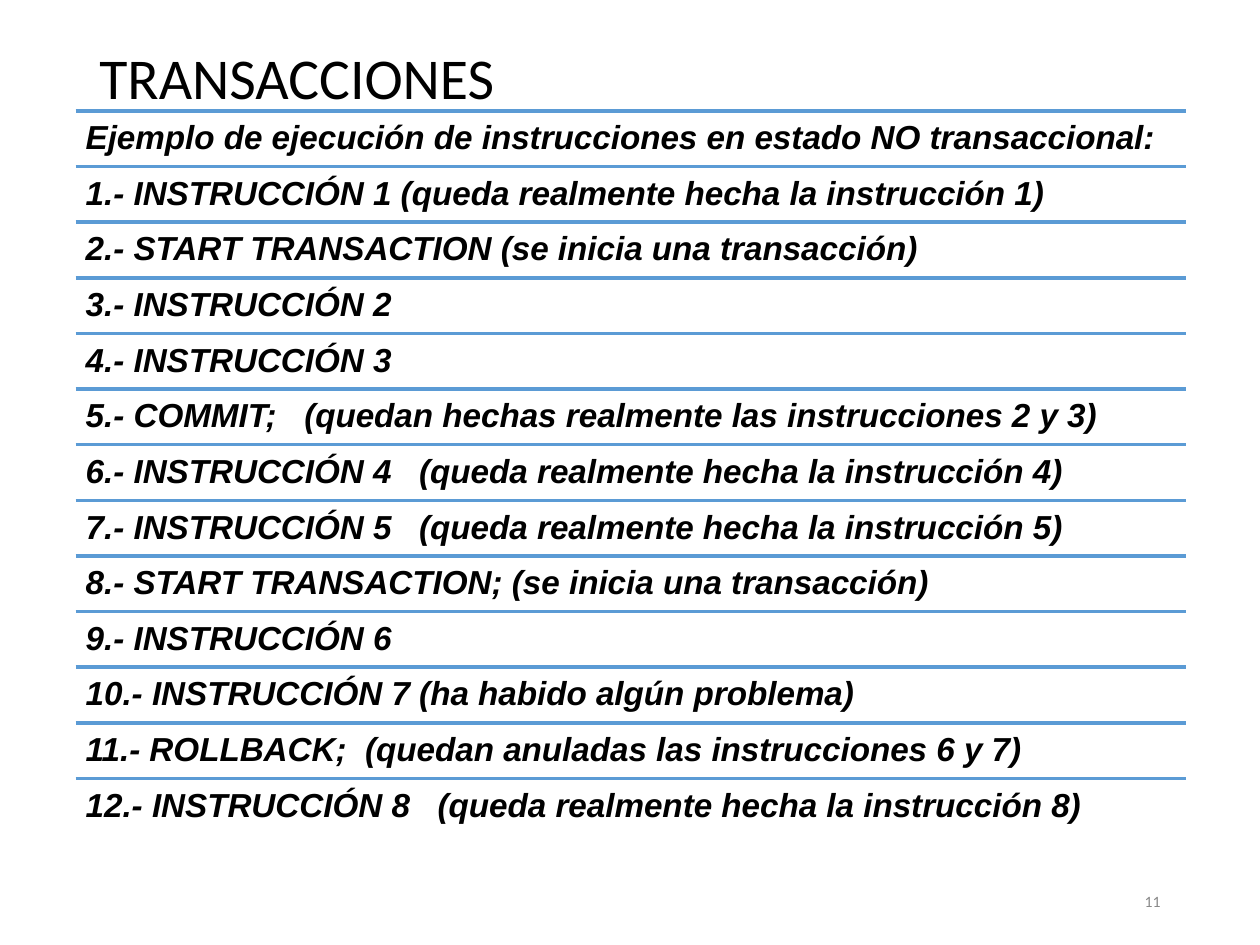
from lxml import etree
from pptx import Presentation, util as u
from pptx.dml.color import RGBColor
from pptx.enum import shapes, text
from pptx.oxml.ns import qn

INK = {"text": "000000", "rule": "5B9BD5", "page": "898989"}
STEPS = [
    "Ejemplo de ejecución de instrucciones en estado NO transaccional:",
    "1.- INSTRUCCIÓN 1 (queda realmente hecha la instrucción 1)",
    "2.- START TRANSACTION (se inicia una transacción)",
    "3.- INSTRUCCIÓN 2",
    "4.- INSTRUCCIÓN 3",
    "5.- COMMIT;   (quedan hechas realmente las instrucciones 2 y 3)",
    "6.- INSTRUCCIÓN 4   (queda realmente hecha la instrucción 4)",
    "7.- INSTRUCCIÓN 5   (queda realmente hecha la instrucción 5)",
    "8.- START TRANSACTION; (se inicia una transacción)",
    "9.- INSTRUCCIÓN 6",
    "10.- INSTRUCCIÓN 7 (ha habido algún problema)",
    "11.- ROLLBACK;  (quedan anuladas las instrucciones 6 y 7)",
    "12.- INSTRUCCIÓN 8   (queda realmente hecha la instrucción 8)",
]


def add_text(group, box, words, size, font="Calibri", ink="text", bold=False,
             align=text.PP_ALIGN.LEFT, anchor=text.MSO_ANCHOR.MIDDLE,
             inset=(0.1, 0.05), space=0.9):
    frame = group.add_textbox(*map(u.Inches, box)).text_frame
    frame.word_wrap = True
    frame.vertical_anchor = anchor
    frame.margin_left = frame.margin_right = u.Inches(inset[0])
    frame.margin_top = frame.margin_bottom = u.Inches(inset[1])
    frame.text = words
    para = frame.paragraphs[0]
    para.alignment = align
    para.line_spacing = space
    face = para.runs[0].font
    face.name, face.size = font, u.Pt(size)
    face.bold = face.italic = bold
    face.color.rgb = RGBColor.from_string(INK[ink])


def add_rule(group, left, top, width):
    rule = group.add_connector(
        shapes.MSO_CONNECTOR.STRAIGHT,
        *map(u.Inches, (left, top, left + width, top)))
    rule.line.color.rgb = RGBColor.from_string(INK[ "rule"])
    rule.line.width = u.Pt(2)
    etree.SubElement(rule.element.spPr, qn("a:effectLst"))


def add_title(slide, box):
    add_text(slide.shapes, box, "TRANSACCIONES", 33)


def add_steps(slide, box):
    """Stack the steps in equal rows, each under its own rule."""
    left, top, width, height = box
    group = slide.shapes.add_group_shape().shapes
    row = height / len(STEPS)
    for i, step in enumerate(STEPS):
        y = top + i * row
        add_rule(group, left, y, width)
        add_text(group, (left, y, width, row), step, 19, "Arial", bold=True,
                 anchor=text.MSO_ANCHOR.TOP, inset=(0.08, 0.08))


def add_page(slide, box):
    add_text(slide.shapes, box, "11", 9, ink="page",
             align=text.PP_ALIGN.RIGHT, space=1.0)


def main():
    deck = Presentation()
    deck.slide_width, deck.slide_height = u.Inches(10), u.Inches(7.5)
    slide = deck.slides.add_slide(deck.slide_layouts[6])
    add_title(slide, (0.69, 0.4, 8.62, 0.48))
    add_page(slide, (7.06, 6.95, 2.25, 0.4))
    add_steps(slide, (0.6, 0.88, 8.81, 5.74))
    deck.save("out.pptx")


if __name__ == "__main__":
    main()
